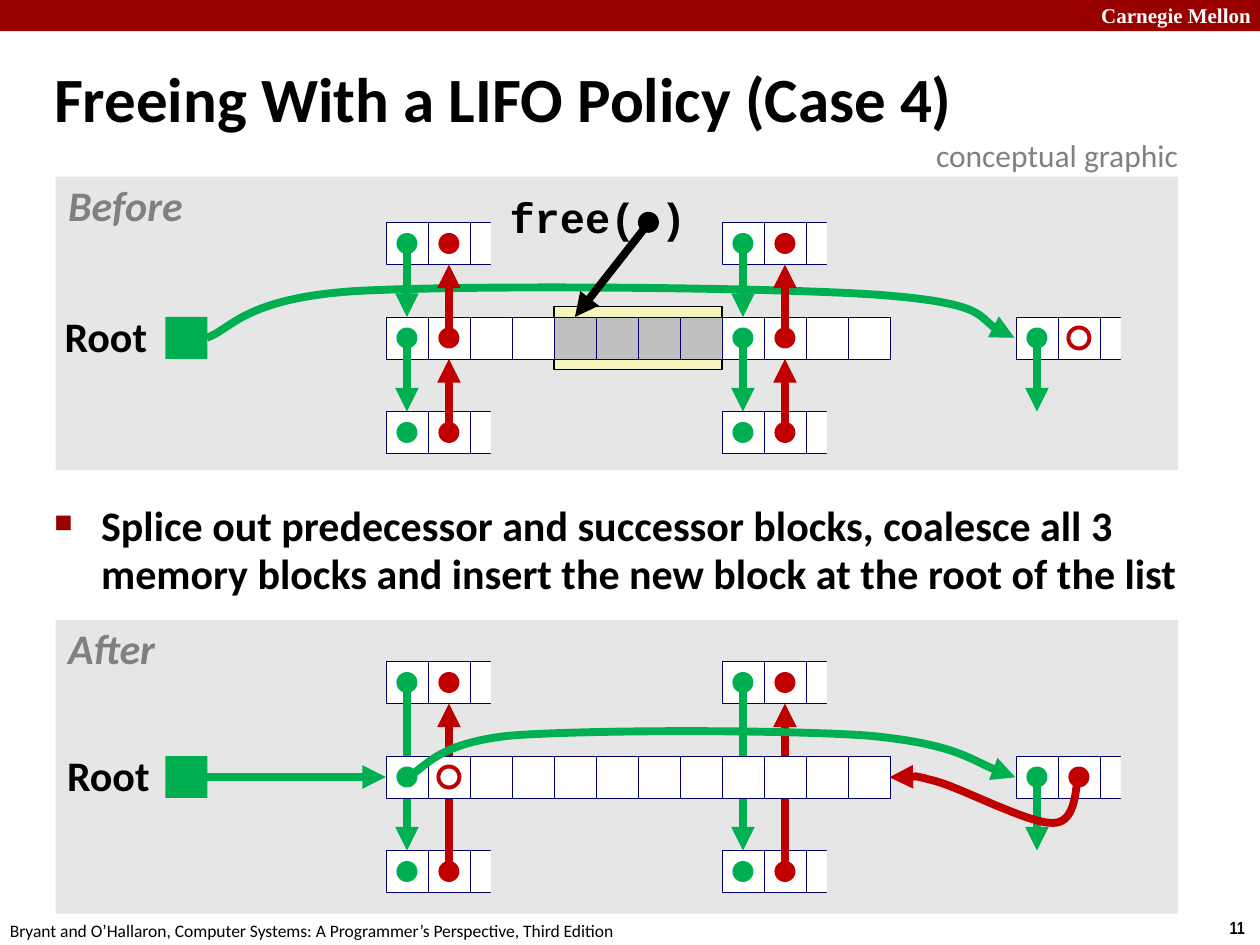
from pptx import Presentation
from pptx.dml.color import RGBColor
from pptx.enum.shapes import MSO_CONNECTOR, MSO_SHAPE
from pptx.enum.text import MSO_ANCHOR, PP_ALIGN
from pptx.oxml.ns import qn
from pptx.util import Cm, Pt
from lxml import etree

RECT, OVAL = MSO_SHAPE.RECTANGLE, MSO_SHAPE.OVAL
STRAIGHT = MSO_CONNECTOR.STRAIGHT
MIDDLE, CENTER = MSO_ANCHOR.MIDDLE, PP_ALIGN.CENTER
TOP, LEFT, BOTTOM, RIGHT = range(4)

MAROON = RGBColor(0x99, 0x00, 0x00)
GREEN = RGBColor(0x00, 0xB0, 0x50)
RED = RGBColor(0xC0, 0x00, 0x00)
BLACK = RGBColor(0x00, 0x00, 0x00)
WHITE = RGBColor(0xFF, 0xFF, 0xFF)
NAVY = RGBColor(0x00, 0x00, 0x66)
PANEL = RGBColor(0xE6, 0xE6, 0xE6)
SILVER = RGBColor(0xC0, 0xC0, 0xC0)
GRAY = RGBColor(0x80, 0x80, 0x80)
CREAM = RGBColor(0xF6, 0xF5, 0xBD)

CELL = 2.54 / 3
HALF = CELL / 2
ROW_STEP = 2.25 * CELL
GRID_LEFT = 7.78
BEFORE_Y, AFTER_Y = 6.39, 15.24
LINK_COLUMNS = (0, 8)
LAST_COLUMN = 15

BEFORE_CURVE = [(4.17, 6.81), (4.65, 6.65), (4.9, 6.02), (7.14, 5.87),
                (9.4, 5.74), (15.42, 5.79), (17.65, 5.94),
                (19.86, 6.1), (19.86, 6.63), (20.45, 6.81)]
NEXT_CURVE = [(8.2, 15.67), (8.56, 15.52), (8.74, 14.99), (10.29, 14.83),
              (11.84, 14.71), (15.8, 14.71), (17.5, 14.83),
              (19.2, 14.99), (19.86, 15.49), (20.47, 15.67)]
PREV_CURVE = [(21.74, 15.67), (21.67, 15.82), (21.72, 16.59), (21.23, 16.59),
              (20.75, 16.61), (19.41, 15.9), (18.87, 15.75),
              (18.31, 15.6), (18.14, 15.67), (17.93, 15.67)]


def col_x(col):
    """Return the left edge of a grid column in centimetres."""
    return GRID_LEFT + col * CELL


def add_shape(s, kind, x, y, w, h, fill=None, line=None, width=0.25):
    """Add a flat preset shape."""
    sp = s.shapes.add_shape(kind, Cm(x), Cm(y), Cm(w), Cm(h))
    sp.shadow.inherit = False
    if fill is None:
        sp.fill.background()
    else:
        sp.fill.solid()
        sp.fill.fore_color.rgb = fill
    if line is None:
        sp.line.fill.background()
    else:
        sp.line.color.rgb = line
        sp.line.width = Pt(width)
    return sp


def add_text(s, x, y, w, h, text, size, color=BLACK, font="Calibri",
             bold=True, italic=False, wrap=False, spacing=None):
    """Add a text box with one formatted paragraph."""
    tf = s.shapes.add_textbox(Cm(x), Cm(y), Cm(w), Cm(h)).text_frame
    tf.word_wrap = wrap
    tf.text = text
    p = tf.paragraphs[0]
    if spacing:
        p.line_spacing = spacing
    f = p.runs[0].font
    f.name, f.size, f.bold, f.italic = font, Pt(size), bold, italic
    f.color.rgb = color
    return tf


def add_label(s, x, y, w, text, color=BLACK, font="Calibri", italic=False):
    """Add a centred diagram label with narrow margins."""
    tf = add_text(s, x, y, w, 1.19, text, 24, color, font,
                  italic=italic, spacing=0.9)
    tf.margin_left = tf.margin_right = Cm(0.13)
    tf.paragraphs[0].alignment = CENTER


def add_bullet(s):
    """Add the explanation with its square bullet."""
    tf = add_text(s, 0.84, 10.03, 23.55, 3.15,
                  "Splice out predecessor and successor blocks, coalesce all 3 "
                  "memory blocks and insert the new block at the root of the list",
                  24, wrap=True, spacing=0.95)
    pr = tf.paragraphs[0]._p.get_or_add_pPr()
    pr.set("marL", str(Cm(0.95)))
    pr.set("indent", str(-Cm(0.95)))
    color = etree.SubElement(pr, qn("a:buClr"))
    etree.SubElement(color, qn("a:srgbClr"), val=str(MAROON))
    etree.SubElement(pr, qn("a:buSzPct"), val="60000")
    etree.SubElement(pr, qn("a:buChar"), char="■")


def style_arrow(line, color):
    """Give a line its weight, colour and end arrowhead."""
    line.color.rgb = color
    line.width = Pt(4.5)
    etree.SubElement(line._get_or_add_ln(), qn("a:tailEnd"), type="triangle")


def add_arrow(s, start, end, color, begin=None, target=None):
    """Add a straight arrow, joined to (shape, side) pairs where given."""
    c = s.shapes.add_connector(STRAIGHT, *(Cm(v) for v in (*start, *end)))
    if begin:
        c.begin_connect(*begin)
    if target:
        c.end_connect(*target)
    style_arrow(c.line, color)
    etree.SubElement(c._element.spPr, qn("a:effectLst"))


def add_curve(s, points, color):
    """Add a curved arrow through a chain of cubic Bézier points."""
    start, *rest = [(Cm(x), Cm(y)) for x, y in points]
    builder = s.shapes.build_freeform(*start)
    builder.add_line_segments(rest, close=False)
    sp = builder.convert_to_shape()
    sp.shadow.inherit = False
    sp.fill.background()
    style_arrow(sp.line, color)
    segments = list(sp._element.iter(qn("a:lnTo")))
    path = segments[0].getparent()
    for i in range(0, len(segments), 3):
        bezier = etree.SubElement(path, qn("a:cubicBezTo"))
        for segment in segments[i:i + 3]:
            bezier.append(segment[0])
            path.remove(segment)


def add_cells(s, col, y, count, fill=WHITE):
    """Add a run of memory cells and return them."""
    return [add_shape(s, RECT, col_x(col + i), y, CELL, CELL, fill, NAVY)
            for i in range(count)]


def add_stub(s, col, y):
    """Add a block that is cut off after two and a half cells."""
    cells = add_cells(s, col, y, 3)
    add_shape(s, RECT, col_x(col + 2.5), y - CELL / 4, CELL, 1.5 * CELL, PANEL)
    return cells


def center(col, y):
    """Return the middle of a cell."""
    return col_x(col) + HALF, y + HALF


def add_dot(s, col, y, color, hollow=False):
    """Add a pointer dot, or a ring for a null pointer."""
    x, mid = center(col, y)
    add_shape(s, OVAL, x - HALF / 2, mid - HALF / 2, HALF, HALF,
              None if hollow else color, color if hollow else None, 2.25)


def add_link(s, col, y, cell, side, color):
    """Add a vertical arrow from a cell's middle to another cell's side."""
    x, mid = center(col, y)
    add_arrow(s, (x, mid), (x, mid), color, target=(cell, side))


def add_last_block(s, y):
    """Add the block at the right end with its next pointer."""
    add_stub(s, LAST_COLUMN, y)
    x, mid = center(LAST_COLUMN, y)
    add_dot(s, LAST_COLUMN, y, GREEN)
    add_arrow(s, (x, mid), (x, y + ROW_STEP), GREEN)


def add_panel(s, y, title, title_width):
    """Add a grey panel."""
    add_shape(s, RECT, 1.12, y, 22.63, 5.92, PANEL)
    add_label(s, 1.22, y + 0.04, title_width, title, GRAY, italic=True)


def add_root(s, x, y):
    """Add the root label and its square."""
    add_label(s, x, y - 0.15, 1.93, "Root")
    return add_shape(s, RECT, col_x(-5.25), y, CELL, CELL, GREEN)


def add_dots(s, rows):
    """Add both pointer dots in each given row of the linked columns."""
    for col in LINK_COLUMNS:
        for y in rows:
            add_dot(s, col, y, GREEN)
            add_dot(s, col + 1, y, RED)


def draw_before(s):
    """Draw the list before the block is freed."""
    y, above, below = BEFORE_Y, BEFORE_Y - ROW_STEP, BEFORE_Y + ROW_STEP
    add_panel(s, 3.56, "Before", 2.62)
    add_shape(s, RECT, col_x(4), y - CELL / 4, 4 * CELL, 1.5 * CELL,
              CREAM, BLACK, 0.75)
    add_curve(s, BEFORE_CURVE, GREEN)
    freed = add_cells(s, 4, y, 4, SILVER)
    for col in LINK_COLUMNS:
        block = add_cells(s, col, y, 4)
        top, bottom = add_stub(s, col, above), add_stub(s, col, below)
        add_link(s, col, y, bottom[0], TOP, GREEN)
        add_link(s, col, above, block[0], TOP, GREEN)
        add_link(s, col + 1, below, block[1], BOTTOM, RED)
        add_link(s, col + 1, y, top[1], BOTTOM, RED)
    add_dots(s, (above, y, below))
    add_root(s, 1.17, y)
    add_last_block(s, y)
    add_dot(s, LAST_COLUMN + 1, y, RED, hollow=True)
    add_label(s, 10.13, 3.86, 3.84, "free( )", font="Courier New")
    add_shape(s, OVAL, 12.86, 4.27, HALF, HALF, BLACK)
    add_arrow(s, (13.08, 4.49), (11.58, y), BLACK, target=(freed[0], TOP))


def draw_after(s):
    """Draw the list after coalescing."""
    y, above, below = AFTER_Y, AFTER_Y - ROW_STEP, AFTER_Y + ROW_STEP
    add_panel(s, 12.5, "After", 2.06)
    for col in LINK_COLUMNS:
        top, bottom = add_stub(s, col, above), add_stub(s, col, below)
        add_link(s, col + 1, below, top[1], BOTTOM, RED)
        add_link(s, col, above, bottom[0], TOP, GREEN)
    merged = add_cells(s, 0, y, 12)
    add_dots(s, (above, below))
    add_dot(s, 0, y, GREEN)
    add_dot(s, 1, y, RED, hollow=True)
    root = add_root(s, 1.22, y)
    add_arrow(s, (4.17, y), (GRID_LEFT, y), GREEN, (root, RIGHT), (merged[0], LEFT))
    add_last_block(s, y)
    add_dot(s, LAST_COLUMN + 1, y, RED)
    add_curve(s, NEXT_CURVE, GREEN)
    add_curve(s, PREV_CURVE, RED)


def main():
    """Build the slide and save it."""
    prs = Presentation()
    prs.slide_width, prs.slide_height = Cm(25.4), Cm(19.05)
    s = prs.slides.add_slide(prs.slide_layouts[6])
    add_shape(s, RECT, 0, 0, 25.4, 0.63, MAROON)
    add_text(s, 21.95, -0.08, 3.63, 0.76, "Carnegie Mellon", 12, WHITE,
             "Times New Roman", wrap=True)
    add_text(s, 24.54, 18.36, 0.86, 0.69, "11", 10, font="Arial Narrow")
    add_text(s, -0.05, 18.42, 12.9, 0.69, "Bryant and O’Hallaron, Computer Systems: "
             "A Programmer’s Perspective, Third Edition", 10, bold=False)
    title = add_text(s, 0.84, 0.99, 24.21, 2.18, "Freeing With a LIFO Policy (Case 4)",
                     36, wrap=True, spacing=0.87)
    title.vertical_anchor = MIDDLE
    add_bullet(s)
    draw_before(s)
    draw_after(s)
    add_text(s, 18.62, 2.62, 5.51, 1.02, "conceptual graphic", 18, GRAY, bold=False)
    prs.save("out.pptx")


if __name__ == "__main__":
    main()
